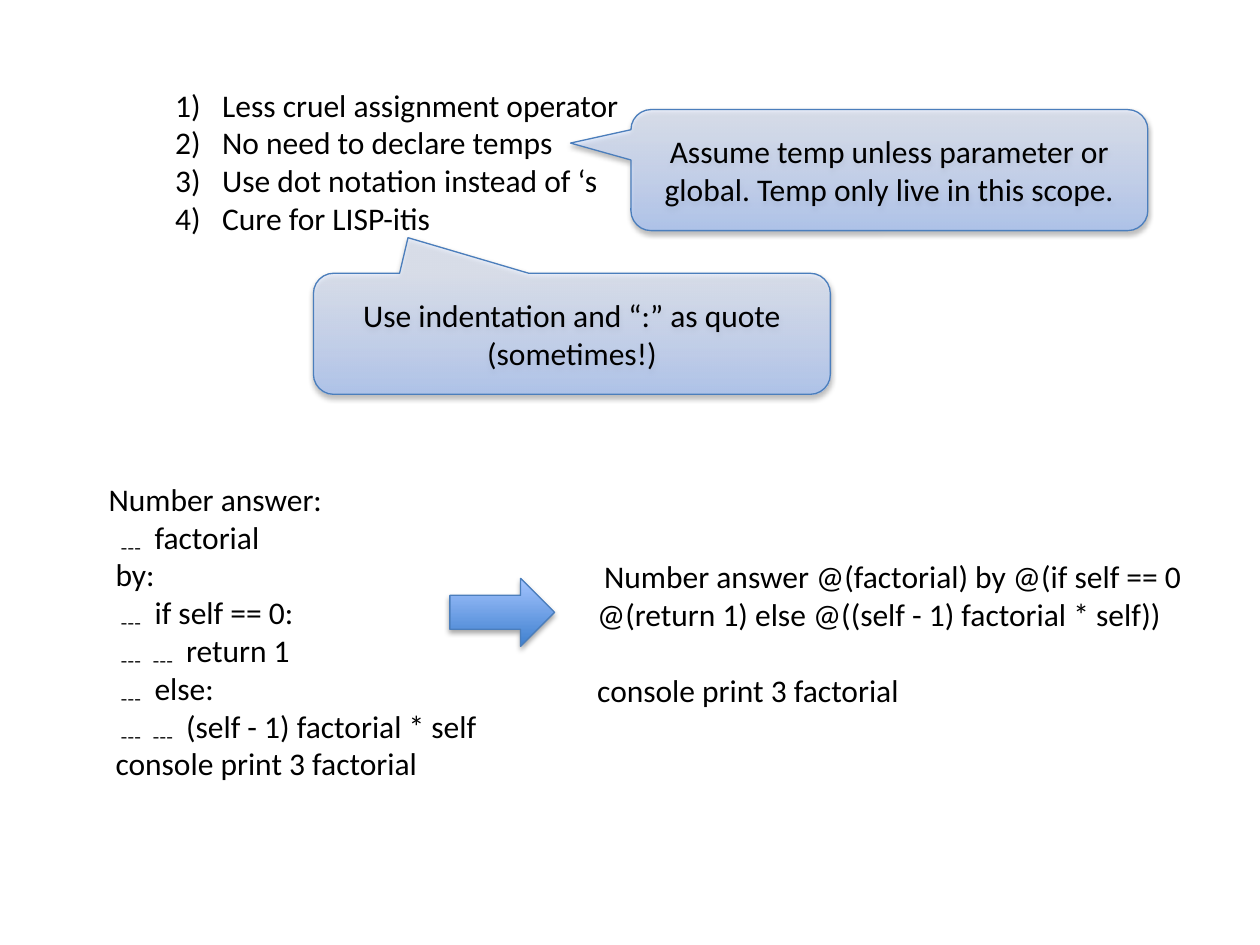
from pptx import Presentation
from pptx.dml.color import RGBColor
from pptx.enum.shapes import MSO_SHAPE
from pptx.enum.text import MSO_ANCHOR, MSO_AUTO_SIZE, PP_ALIGN
from pptx.oxml import parse_xml
from pptx.oxml.ns import nsdecls, qn
from pptx.util import Cm, Pt
from lxml.etree import SubElement

FONT = "Calibri"
INK = "000000"
OUTLINE = "4B7EBC"
SPACE = 0.14  # width of one space at 18 pt, in cm
CALLOUT_STOPS = [(0, "A4C4FF"), (35, "BFD4FF"), (100, "E6EEFF")]
ARROW_STOPS = [(0, "3F80CE"), (100, "A4C4FF")]

IMPROVEMENTS = [
    "Less cruel assignment operator",
    "No need to declare temps",
    "Use dot notation instead of ‘s",
    "Cure for LISP-itis",
]
INDENTED_CODE = [
    "Number answer:",
    "﹍factorial",
    "by:",
    "﹍if self == 0:",
    "﹍﹍return 1",
    "﹍else:",
    "﹍﹍(self - 1) factorial * self",
    "console print 3 factorial",
]
QUOTED_CODE = [
    "Number answer @(factorial) by @(if self == 0 "
    "@(return 1) else @((self - 1) factorial * self))",
    "console print 3 factorial",
]


def color(code):
    return RGBColor.from_string(code)


def write(frame, lines):
    """Fill a text frame, one paragraph per line, and return the paragraphs."""
    frame.word_wrap = True
    frame.text = "\n".join(lines)
    for para in frame.paragraphs:
        for span in para.runs:
            span.font.name = FONT
            span.font.size = Pt(18)
            span.font.color.rgb = color(INK)
    return frame.paragraphs


def indent(para, left, first=0):
    properties = para._p.get_or_add_pPr()
    properties.set("marL", str(Cm(left)))
    properties.set("indent", str(Cm(first)))
    return properties


def add_text(page, left, top, width, height, lines):
    box = page.shapes.add_textbox(Cm(left), Cm(top), Cm(width), Cm(height))
    paras = write(box.text_frame, lines)
    box.text_frame.auto_size = MSO_AUTO_SIZE.SHAPE_TO_FIT_TEXT
    return paras


def set_gradient(shape, stops, alpha):
    """Run the colour stops from the bottom edge to the top."""
    marks = "".join(
        f'<a:gs pos="{place * 1000}"><a:srgbClr val="{code}">'
        f'<a:alpha val="{alpha * 1000}"/></a:srgbClr></a:gs>'
        for place, code in stops
    )
    shape.fill.background()
    properties = shape._element.spPr
    properties.replace(
        properties.find(qn("a:noFill")),
        parse_xml(
            f'<a:gradFill {nsdecls("a")} rotWithShape="1"><a:gsLst>{marks}</a:gsLst>'
            '<a:lin ang="16200000" scaled="0"/></a:gradFill>'
        ),
    )


def set_shadow(shape, alpha, distance):
    shape.shadow.inherit = False
    effects = shape._element.spPr.find(qn("a:effectLst"))
    effects.append(parse_xml(
        f'<a:outerShdw {nsdecls("a")} blurRad="{Pt(3.1)}" dist="{Pt(distance)}" '
        f'dir="5400000" rotWithShape="0"><a:srgbClr val="{INK}">'
        f'<a:alpha val="{alpha * 1000}"/></a:srgbClr></a:outerShdw>'
    ))


def add_glossy_shape(page, kind, left, top, width, height, stops, alpha, shadow):
    shape = page.shapes.add_shape(kind, Cm(left), Cm(top), Cm(width), Cm(height))
    shape.line.color.rgb = color(OUTLINE)
    shape.line.width = Pt(0.75)
    set_gradient(shape, stops, alpha)
    set_shadow(shape, *shadow)
    return shape


def add_callout(page, left, top, tip, text):
    callout = add_glossy_shape(
        page, MSO_SHAPE.ROUNDED_RECTANGULAR_CALLOUT, left, top, 10.42, 2.44,
        CALLOUT_STOPS, 64, (38, 1.6),
    )
    callout.adjustments[0], callout.adjustments[1] = tip
    callout.text_frame.vertical_anchor = MSO_ANCHOR.MIDDLE
    for para in write(callout.text_frame, [text]):
        para.alignment = PP_ALIGN.CENTER


def main():
    deck = Presentation()
    deck.slide_width, deck.slide_height = Cm(25.4), Cm(19.05)
    page = deck.slides.add_slide(deck.slide_layouts[6])

    # Callouts pointing at the list
    add_callout(page, 12.72, 2.21, (-0.617, -0.223),
                "Assume temp unless parameter or global. Temp only live in this scope.")
    add_callout(page, 6.32, 5.51, (-0.317, -0.794),
                "Use indentation and “:” as quote (sometimes!)")

    # Code written with indentation
    for number, para in enumerate(add_text(page, 1.8, 9.55, 8.36, 6.4, INDENTED_CODE)):
        indent(para, SPACE if number == 0 else 2 * SPACE)

    # Arrow from indentation to quotes
    add_glossy_shape(page, MSO_SHAPE.RIGHT_ARROW, 9.07, 11.66, 2.11, 1.37,
                     ARROW_STOPS, 100, (35, 1.8))

    # The same code written with quotes
    definition, call = add_text(page, 11.79, 11.1, 13.08, 3.33, QUOTED_CODE)
    indent(definition, 0, SPACE)
    call.space_before = Pt(22)

    # Numbered improvements
    for para in add_text(page, 3.28, 1.6, 16.87, 4.11, IMPROVEMENTS):
        properties = indent(para, 0.95, -0.95)
        SubElement(properties, qn("a:buFont")).set("typeface", "+mj-lt")
        SubElement(properties, qn("a:buAutoNum")).set("type", "arabicParenR")

    deck.save("out.pptx")


main()
